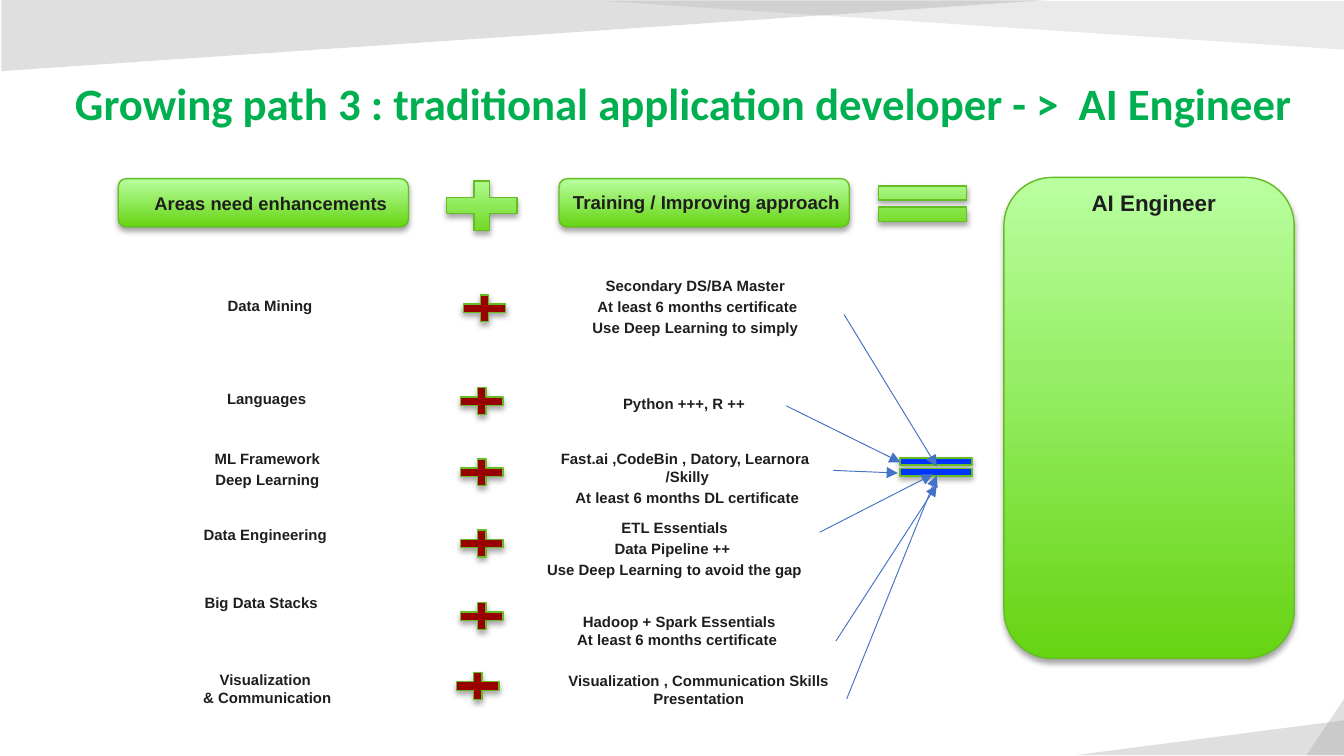
from collections import namedtuple

from lxml import etree
from pptx import Presentation
from pptx.dml.color import RGBColor
from pptx.enum.shapes import MSO_CONNECTOR as Link, MSO_SHAPE as Preset
from pptx.enum.text import MSO_ANCHOR as Anchor, PP_ALIGN as Align
from pptx.oxml.ns import qn
from pptx.util import Inches, Pt

# A 16:9 slide on a grid of square cells, 100 columns wide
WIDTH, COLUMNS = 10, 100
HEIGHT = WIDTH * 9 / 16
CELL = WIDTH / COLUMNS

DARK_GREEN, LIGHT_GREEN, EDGE = "66D412", "B9FFA0", "66BD23"
RED, BLUE, ARROW = "990000", "0033FF", "4472C4"
GREY, INK, TITLE = "A5A5A5", "1E1E1E", "00B050"

# Boxes are (centre, top, height), the plus is (left, top), arrows are (x, y)
Step = namedtuple("Step", "area area_box plus training training_box start end")
STEPS = [
    Step(["Data Mining"], (20.1, 21.6, 4.3), (33.9, 21.6),
         ["Secondary DS/BA Master ", "At least 6 months certificate",
          "Use Deep Learning to simply "], (51.9, 20.1, 6.6),
         (62.8, 23.4), (69.7, 34.7)),
    Step(["Languages "], (20, 28.5, 3), (33.7, 28.5),
         ["Python +++, R ++"], (50.9, 28.9, 3),
         (58.5, 30.2), (67, 34.4)),
    Step(["ML Framework", "Deep Learning"], (19.9, 33, 5.6), (33.7, 33.8),
         ["Fast.ai ,CodeBin , Datory, Learnora \v/Skilly",
          "At least 6 months DL certificate"], (51.15, 33, 4),
         (62, 35), (66.8, 35.2)),
    Step(["Data Engineering "], (19.9, 38.6, 6.6), (33.7, 39.1),
         ["ETL Essentials", "Data Pipeline ++ ",
          "Use Deep Learning to avoid the gap"], (50.2, 38.1, 3),
         (61, 39.6), (69.4, 35.3)),
    Step(["Big Data Stacks "], (19.6, 43.7, 4.3), (33.7, 44.5),
         ["Hadoop + Spark Essentials\vAt least 6 months certificate "],
         (50.55, 45.1, 5.2), (62.2, 47.7), (69.7, 36.1)),
    Step(["Visualization \v& Communication"], (19.9, 49.4, 4.3), (33.4, 49.7),
         ["Visualization , Communication Skills \vPresentation "],
         (52.15, 49.5, 4.8), (63, 52), (69.7, 35.4)),
]


def cells(*counts):
    return [Inches(count * CELL) for count in counts]


def paint(target, color):
    target.rgb = RGBColor.from_string(color)


def add_child(parent, tag, **attributes):
    return etree.SubElement(parent, qn(tag), attributes)


def add_backdrop(page, box, flips, opacity):
    """A translucent grey corner triangle."""
    shape = page.shapes.add_shape(Preset.RIGHT_TRIANGLE, *cells(*box))
    shape.shadow.inherit = False
    shape.fill.solid()
    paint(shape.fill.fore_color, GREY)
    shape.line.fill.background()
    properties = shape.element.spPr
    color = properties.find(qn("a:solidFill"))[0]
    add_child(color, "a:alpha", val=str(opacity * 1000))
    for flip in flips:
        properties.find(qn("a:xfrm")).set("flip" + flip, "1")


def add_block(page, preset, box, color=None):
    """An outlined shape with a soft shadow; green gradient unless coloured."""
    shape = page.shapes.add_shape(preset, *cells(*box))
    if color:
        shape.fill.solid()
        paint(shape.fill.fore_color, color)
    else:
        shape.fill.gradient()
        shape.fill.gradient_angle = 90
        for stop, shade in zip(shape.fill.gradient_stops, (DARK_GREEN, LIGHT_GREEN)):
            paint(stop.color, shade)
    paint(shape.line.color, EDGE)
    shape.line.width = Pt(0.75)
    shape.shadow.inherit = False
    effects = shape.element.spPr.find(qn("a:effectLst"))
    shadow = add_child(effects, "a:outerShdw", blurRad=str(Pt(3.1)),
                       dist=str(Pt(1.8)), dir="5400000", rotWithShape="0")
    black = add_child(shadow, "a:srgbClr", val="000000")
    add_child(black, "a:alpha", val="35000")


def add_text(page, box, lines, size, color=INK, font="Arial", align=Align.CENTER):
    frame = page.shapes.add_textbox(*cells(*box)).text_frame
    frame.word_wrap = True
    frame.text = "\n".join(lines)
    for index, para in enumerate(frame.paragraphs):
        para.alignment = align
        if index:
            para.space_before = Pt(size * 0.2)
        for span in para.runs:
            span.font.name, span.font.size, span.font.bold = font, Pt(size), True
            paint(span.font.color, color)
    return frame


def add_centred(page, place, width, lines):
    centre, top, height = place
    add_text(page, (centre - width / 2, top, width, height), lines, 8)


def add_arrow(page, start, end):
    arrow = page.shapes.add_connector(Link.STRAIGHT, *cells(*start, *end))
    paint(arrow.line.color, ARROW)
    arrow.line.width = Pt(0.5)
    properties = arrow.element.spPr
    add_child(properties.find(qn("a:ln")), "a:tailEnd", type="triangle")
    add_child(properties, "a:effectLst")


def main():
    deck = Presentation()
    deck.slide_width, deck.slide_height = Inches(WIDTH), Inches(HEIGHT)
    page = deck.slides.add_slide(deck.slide_layouts[6])

    # Corner triangles
    add_backdrop(page, (80, 53.6, 20, 2.6), "H", 35)
    add_backdrop(page, (97.2, 52, 2.8, 4.2), "H", 35)
    add_backdrop(page, (0.1, 0, 78, 5.3), "V", 35)
    add_backdrop(page, (45.1, 0.1, 54.9, 3.6), "HV", 23)

    # Title
    title = add_text(
        page, (4.6, 3.7, 96.6, 8.3),
        ["Growing path 3 : traditional application developer - >  AI Engineer"],
        24, TITLE, "Calibri", Align.LEFT)
    title.vertical_anchor = Anchor.MIDDLE
    title.paragraphs[0].line_spacing = 0.9

    # Header equation: areas + training = role
    add_block(page, Preset.ROUNDED_RECTANGLE, (8.8, 13.3, 21.6, 3.6))
    add_text(page, (9.7, 13.8, 20.9, 3), ["Areas need enhancements"], 9.8)
    add_block(page, Preset.MATH_PLUS, (32.3, 12.8, 7.1, 5))
    add_block(page, Preset.ROUNDED_RECTANGLE, (41.6, 13.3, 21.6, 3.6))
    add_text(page, (41.3, 13.7, 22.5, 3), ["Training / Improving approach"], 10)
    add_block(page, Preset.MATH_EQUAL, (64.2, 12.9, 8.9, 4.5))
    add_block(page, Preset.ROUNDED_RECTANGLE, (74.7, 13.2, 21.6, 35.8))
    add_text(page, (76.2, 13.6, 19.3, 3), ["AI Engineer"], 12)

    # Each area, its training and the arrow to the shared equals sign
    add_block(page, Preset.MATH_EQUAL, (66, 33.6, 7.3, 2.3), BLUE)
    for step in STEPS:
        add_centred(page, step.area_box, 22.6, step.area)
        add_block(page, Preset.MATH_PLUS, (*step.plus, 4.3, 2.7), RED)
        add_centred(page, step.training_box, 21.7, step.training)
        add_arrow(page, step.start, step.end)

    deck.save("out.pptx")


if __name__ == "__main__":
    main()
